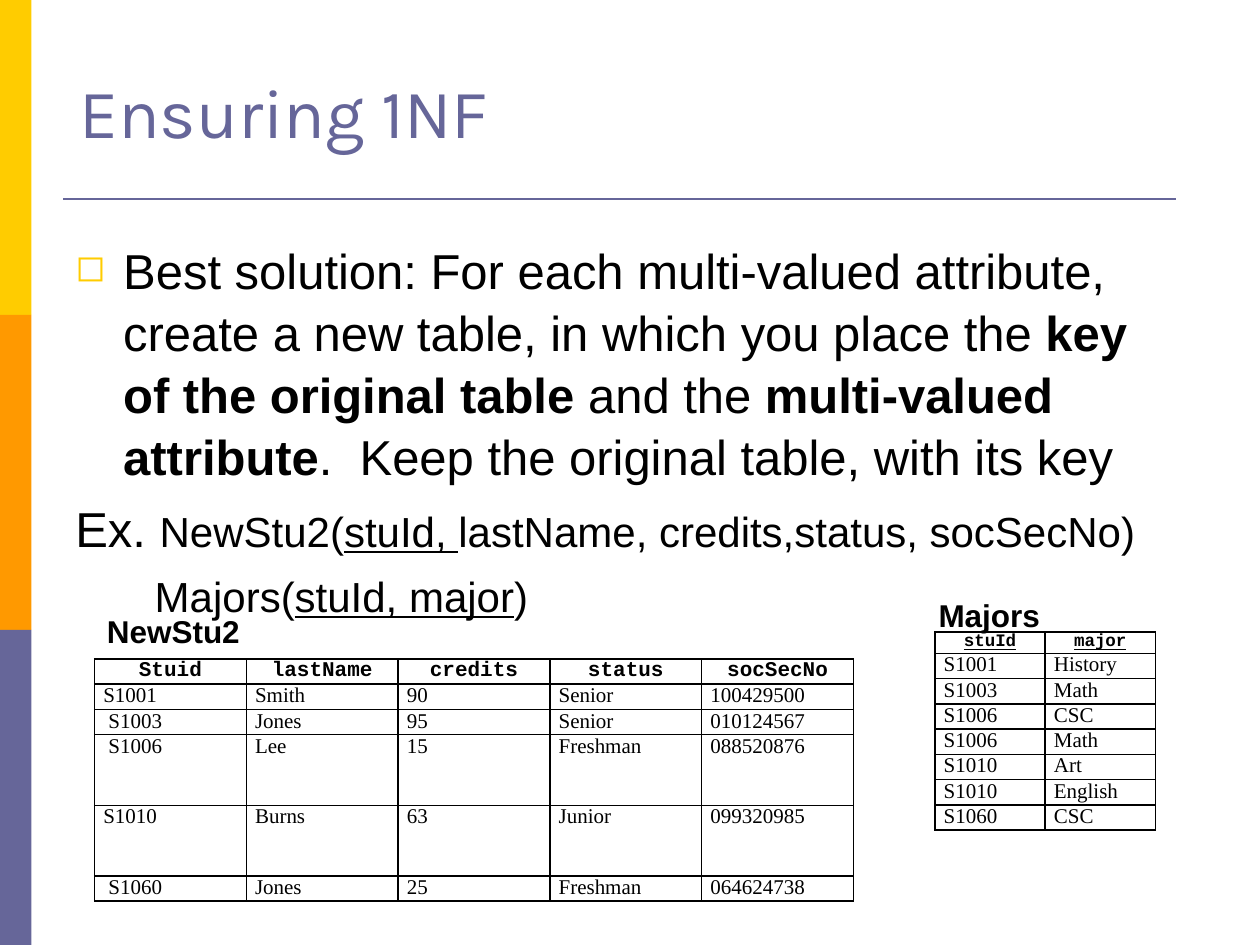
from dataclasses import dataclass
from typing import NamedTuple

from lxml import etree
from pptx import Presentation, util as u
from pptx.dml.color import RGBColor as Rgb
from pptx.enum import shapes, text
from pptx.oxml import ns


@dataclass(frozen=True)
class Theme:
    ink: str = "000000"
    violet: str = "666699"
    gold: str = "FFCC00"
    amber: str = "FF9900"
    sans: str = "Arial"
    serif: str = "Times New Roman"
    mono: str = "Courier New"
    head: str = "Karla"
    title: float = 39.6
    body: float = 28
    code: float = 24
    label: float = 18
    cell: float = 12
    small: float = 10


class Box(NamedTuple):
    """Left, top, width and height in grid columns and rows."""
    x: float
    y: float
    w: float
    h: float


class Run(NamedTuple):
    words: str
    size: float
    bold: bool = False
    under: bool = False


class Para(NamedTuple):
    runs: list[Run]
    left: float = 0.38
    first: float = -0.38
    bullet: str = ""


class Grid(NamedTuple):
    """A table: place, column width, row heights, header size, rows of text."""
    x: float
    y: float
    col: float
    rows: list[float]
    size: float
    under: bool
    data: list[list[str]]


COLS, ROWS = 40, 30
T = Theme()
deck = Presentation()
deck.slide_width, deck.slide_height = u.Inches(10), u.Inches(7.5)
slide = deck.slides.add_slide(deck.slide_layouts[6])


def across(n: float) -> int:
    return round(deck.slide_width * n / COLS)


def down(n: float) -> int:
    return round(deck.slide_height * n / ROWS)


def place(box: Box) -> tuple[int, int, int, int]:
    return across(box.x), down(box.y), across(box.w), down(box.h)


def style(font, name: str, size: float, color: str, bold: bool = False,
          under: bool = False) -> None:
    font.name, font.size = name, u.Pt(size)
    font.bold, font.underline = bold, under
    font.color.rgb = Rgb.from_string(color)


def band(box: Box, color: str) -> None:
    shape = slide.shapes.add_shape(shapes.MSO_SHAPE.RECTANGLE, *place(box))
    shape.shadow.inherit = False
    shape.fill.solid()
    shape.fill.fore_color.rgb = Rgb.from_string(color)
    shape.line.fill.background()


def rule(x: float, end: float, y: float) -> None:
    line = slide.shapes.add_connector(shapes.MSO_CONNECTOR.STRAIGHT,
                                      across(x), down(y), across(end), down(y))
    line.line.color.rgb = Rgb.from_string(T.violet)
    line.line.width = u.Pt(1.5)
    etree.SubElement(line._element.spPr, ns.qn("a:effectLst"))


def label(box: Box, words: str, name: str, size: float, color: str,
          bold: bool = False, wrap: bool = False) -> None:
    frame = slide.shapes.add_textbox(*place(box)).text_frame
    frame.word_wrap = wrap
    frame.vertical_anchor = text.MSO_ANCHOR.BOTTOM if wrap else text.MSO_ANCHOR.TOP
    para = frame.paragraphs[0]
    para.text = words
    style(para.font, name, size, color, bold)


def mark(props, char: str) -> None:
    """Give a paragraph a gold bullet."""
    color = etree.SubElement(props, ns.qn("a:buClr"))
    etree.SubElement(color, ns.qn("a:srgbClr"), val=T.gold)
    etree.SubElement(props, ns.qn("a:buSzPct"), val="75000")
    etree.SubElement(props, ns.qn("a:buChar"), char=char)


def prose(box: Box, paras: list[Para]) -> None:
    frame = slide.shapes.add_textbox(*place(box)).text_frame
    frame.word_wrap = True
    for i, item in enumerate(paras):
        para = frame.add_paragraph() if i else frame.paragraphs[0]
        para.space_before, para.line_spacing = u.Pt(6), 1.05
        props = para._p.get_or_add_pPr()
        props.set("marL", str(u.Inches(item.left)))
        props.set("indent", str(u.Inches(item.first)))
        if item.bullet:
            mark(props, item.bullet)
        for part in item.runs:
            run = para.add_run()
            run.text = part.words
            style(run.font, T.sans, part.size, T.ink, part.bold, part.under)


def edge(cell) -> None:
    """Draw the four borders of a cell."""
    props = cell._tc.get_or_add_tcPr()
    for i, side in enumerate(("lnL", "lnR", "lnT", "lnB")):
        line = etree.Element(ns.qn(f"a:{side}"), w=str(u.Pt(1)))
        fill = etree.SubElement(line, ns.qn("a:solidFill"))
        etree.SubElement(fill, ns.qn("a:srgbClr"), val=T.ink)
        props.insert(i, line)


def table(grid: Grid) -> None:
    wide = len(grid.data[0])
    box = Box(grid.x, grid.y, grid.col * wide, sum(grid.rows))
    tab = slide.shapes.add_table(len(grid.rows), wide, *place(box)).table
    tab.first_row = tab.horz_banding = False
    for col in tab.columns:
        col.width = across(grid.col)
    for r, (high, words) in enumerate(zip(grid.rows, grid.data)):
        tab.rows[r].height = down(high)
        for c, word in enumerate(words):
            cell = tab.cell(r, c)
            cell.margin_left = cell.margin_right = u.Inches(0.07)
            cell.margin_top = cell.margin_bottom = 0
            cell.fill.background()
            edge(cell)
            cell.text = word
            para = cell.text_frame.paragraphs[0]
            if r == 0:
                para.alignment = text.PP_ALIGN.CENTER
                style(para.font, T.mono, grid.size, T.ink, True, grid.under)
            else:
                style(para.font, T.serif, T.cell, T.ink)


# Side bands, title and rule
for i, color in enumerate((T.gold, T.amber, T.violet)):
    band(Box(0, i * ROWS / 3, 1, ROWS / 3), color)
rule(2, 37.32, 6.32)
label(Box(2.12, 2.56, 36, 2.48), "Ensuring 1NF", T.head, T.title, T.violet, wrap=True)

# Explanation and example schemas
prose(Box(2, 7.36, 36, 15.36), [
    Para([Run("Best solution: For each multi-valued attribute, create a new table, "
              "in which you place the ", T.body),
          Run("key of the original table", T.body, bold=True),
          Run(" and the ", T.body),
          Run("multi-valued attribute", T.body, bold=True),
          Run(".  Keep the original table, with its key", T.body)], bullet="◻"),
    Para([Run("Ex. ", T.body), Run("NewStu2(", T.code),
          Run("stuId, ", T.code, under=True),
          Run("lastName, credits,status, socSecNo)", T.code)]),
    Para([Run("Majors(", T.code), Run("stuId, major", T.code, under=True),
          Run(")", T.code)], left=0.63, first=0),
])

# Example tables
table(Grid(3, 20.92, 4.82, [0.8, 0.8, 0.8, 2.24, 2.24, 0.8], T.cell, False, [
    ["Stuid", "lastName", "credits", "status", "socSecNo"],
    ["S1001", "Smith", "90", "Senior", "100429500"],
    [" S1003", "Jones", "95", "Senior", "010124567"],
    [" S1006", "Lee", "15", "Freshman", "088520876"],
    ["S1010", "Burns", "63", "Junior", "099320985"],
    [" S1060", "Jones", "25", "Freshman", "064624738"],
]))
table(Grid(29.68, 20.06, 3.5, [0.68] + [0.8] * 7, T.small, True, [
    ["stuId", "major"], ["S1001", "History"], ["S1003", "Math"], ["S1006", "CSC"],
    ["S1006", "Math"], ["S1010", "Art"], ["S1010", "English"], ["S1060", "CSC"],
]))
label(Box(29.4, 18.72, 4.08, 1.6), "Majors", T.sans, T.label, T.ink, True)
label(Box(3, 19.24, 5.08, 1.6), "NewStu2", T.sans, T.label, T.ink, True)

deck.save("out.pptx")
